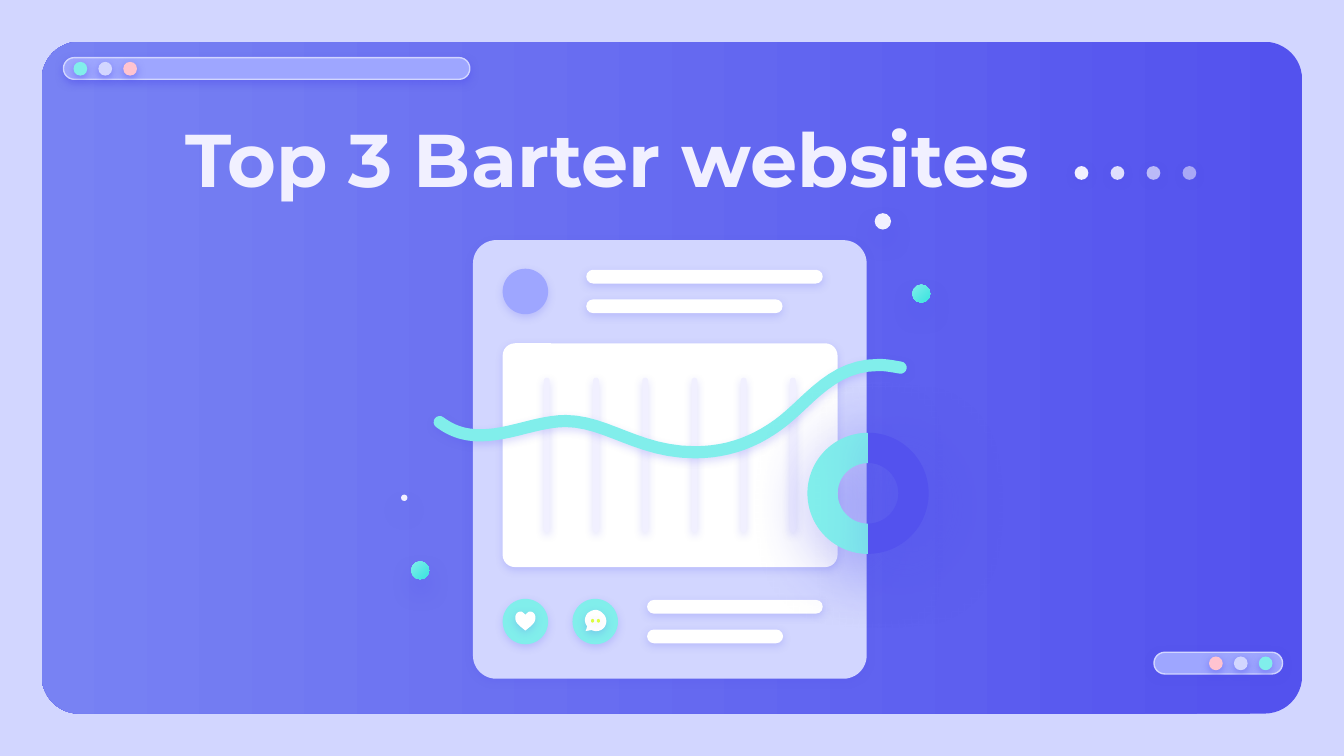
"""Build a title slide for barter websites with a social post card."""
from math import atan2, cos, pi, sin

from lxml import etree
from pptx import Presentation
from pptx.dml.color import RGBColor
from pptx.enum.shapes import MSO_SHAPE
from pptx.enum.text import MSO_ANCHOR, MSO_AUTO_SIZE, PP_ALIGN
from pptx.oxml.ns import qn
from pptx.util import Cm, Pt

ROUND, OVAL, ARC = MSO_SHAPE.ROUNDED_RECTANGLE, MSO_SHAPE.OVAL, MSO_SHAPE.BLOCK_ARC
MIDDLE, LEFT, FIXED = MSO_ANCHOR.MIDDLE, PP_ALIGN.LEFT, MSO_AUTO_SIZE.NONE

HUES = {
    "deep": "5352EE", "blue": "7882F3", "lilac": "9EA6FF", "pale": "D2D6FF",
    "teal": "81EEEB", "green": "3AE4DF", "pink": "FFC3D0", "mist": "F1F0FF",
    "white": "FFFFFF", "lime": "DEFF3F",
}
RGB = {name: RGBColor.from_string(code) for name, code in HUES.items()}

FIRM = (50, 4.5, 1.5, 90)
SOFT = (20, 4.5, 1.5, 90)
HALO = (38, 12.4, 6.8, 90)
WIDE = (67, 38.2, 9, 49)

deck = Presentation()
deck.slide_width, deck.slide_height = Cm(25.4), Cm(14.29)
slide = deck.slides.add_slide(deck.slide_layouts[5])
slide.background.fill.solid()
slide.background.fill.fore_color.rgb = RGB["pale"]


def draw(kind, fill, glow=None, box=None, adj=(), turn=0, angle=0, alpha=100, edge=None):
    """Draw a preset shape in a box, or an outline when kind is a list of points."""
    if box:
        shape = slide.shapes.add_shape(kind, *[Cm(v) for v in box])
    else:
        dots = [(Cm(x), Cm(y)) for x, y in kind]
        pen = slide.shapes.build_freeform(*dots[0], scale=1.0)
        pen.add_line_segments(dots[1:], close=True)
        shape = pen.convert_to_shape()
    for i, value in enumerate(adj):
        shape.adjustments[i] = value
    shape.rotation = turn
    if isinstance(fill, tuple):
        shape.fill.gradient()
        shape.fill.gradient_angle = angle
        for stop, name in zip(shape.fill.gradient_stops, fill):
            stop.color.rgb = RGB[name]
    else:
        shape.fill.solid()
        shape.fill.fore_color.rgb = RGB[fill]
    props = shape.element.spPr
    if alpha < 100:
        tint = props.find(qn("a:solidFill")).find(qn("a:srgbClr"))
        etree.SubElement(tint, qn("a:alpha"), val=str(alpha * 1000))
    if edge:
        shape.line.color.rgb = RGB[edge]
        shape.line.width = Pt(0.75)
    else:
        shape.line.fill.background()
    shape.shadow.inherit = False
    if glow:
        power, blur, gap, way = glow
        cast = etree.SubElement(
            props.find(qn("a:effectLst")), qn("a:outerShdw"), blurRad=str(Pt(blur)),
            dist=str(Pt(gap)), dir=str(way * 60000), algn="bl", rotWithShape="0")
        tint = etree.SubElement(cast, qn("a:srgbClr"), val=HUES["deep"])
        etree.SubElement(tint, qn("a:alpha"), val=str(power * 1000))


def write(frame, text, size, color, font, bold=False, align=LEFT):
    """Write one line of text in the given format."""
    line = frame.paragraphs[0]
    line.alignment = align
    run = line.add_run()
    run.text = text
    run.font.size, run.font.bold, run.font.name = Pt(size), bold, font
    run.font.color.rgb = RGB[color]


draw(ROUND, ("deep", "blue"), box=(0.79, 0.79, 23.82, 12.7), adj=[0.056], angle=180)

for left, top, width, first, step in [(1.2, 1.09, 7.68, 1.39, 0.47),
                                      (21.81, 12.33, 2.43, 23.79, -0.47)]:
    draw(ROUND, "lilac", FIRM, (left, top, width, 0.41), [0.5], edge="pale")
    for i, hue in enumerate(["teal", "pale", "pink"]):
        draw(OVAL, hue, FIRM, (first + i * step, top + 0.08, 0.26, 0.26))

title = slide.shapes.title
title.element.getparent().append(title.element)
title.left, title.top, title.width, title.height = Cm(3.25), Cm(1.17), Cm(18.64), Cm(3.61)
frame = title.text_frame
frame.word_wrap, frame.auto_size, frame.vertical_anchor = True, FIXED, MIDDLE
frame.margin_left = frame.margin_right = frame.margin_top = frame.margin_bottom = Cm(0.25)
write(frame, "Top 3 Barter websites", size=40, color="mist", font="Montserrat", bold=True)

draw(ROUND, "pale", SOFT, (8.94, 4.54, 7.44, 8.29), [0.059])
for left, top, width in [(11.08, 5.1, 4.47), (11.08, 5.66, 3.71),
                         (12.23, 11.34, 3.32), (12.23, 11.9, 2.57)]:
    draw(ROUND, "white", SOFT, (left, top, width, 0.26), [0.5])
for left, top, hue in [(9.5, 5.08, "lilac"), (9.5, 11.32, "teal"), (10.82, 11.32, "teal")]:
    draw(OVAL, hue, SOFT, (left, top, 0.86, 0.86))
draw(ROUND, "white", SOFT, (9.5, 6.49, 6.33, 4.23), [0.055])
for i in range(6):
    draw(ROUND, "mist", SOFT, (10.28 + i * 0.93, 7.14, 0.11, 2.92), [0.5])

half = [(9.93, 11.62), (9.89, 11.58), (9.86, 11.56), (9.85, 11.56), (9.79, 11.56),
        (9.74, 11.6), (9.74, 11.68), (9.74, 11.78), (9.82, 11.83), (9.93, 11.92)]
curves = {
    "heart": half + [(19.86 - x, y) for x, y in half[-2::-1]],
    "bubble": [
        (11.26, 11.53), (11.2, 11.53), (11.15, 11.56), (11.11, 11.59),
        (11.04, 11.67), (11.04, 11.77), (11.1, 11.84),
        (11.1, 11.84), (11.07, 11.93), (11.07, 11.93),
        (11.07, 11.93), (11.18, 11.91), (11.18, 11.91),
        (11.2, 11.92), (11.23, 11.93), (11.26, 11.93),
        (11.31, 11.93), (11.36, 11.92), (11.4, 11.88),
        (11.48, 11.81), (11.48, 11.68), (11.4, 11.6),
        (11.36, 11.56), (11.31, 11.53), (11.26, 11.53)],
    "wave": [
        (8.31, 7.98), (8.51, 8.13), (8.74, 8.23), (9.08, 8.23),
        (9.63, 8.23), (10.16, 7.96), (10.69, 7.96),
        (11.46, 7.96), (12.07, 8.55), (13.13, 8.55),
        (13.79, 8.55), (14.33, 8.33), (14.81, 7.95),
        (15.32, 7.54), (15.75, 6.9), (16.61, 6.9),
        (16.76, 6.9), (16.89, 6.93), (17.02, 6.95)],
}
steps = 12
paths = {}
for name, knots in curves.items():
    paths[name] = [knots[0]]
    for i in range(0, len(knots) - 1, 3):
        for k in range(1, steps + 1):
            t = k / steps
            mix = [(1 - t) ** 3, 3 * t * (1 - t) ** 2, 3 * t * t * (1 - t), t ** 3]
            paths[name].append(tuple(sum(m * p[axis] for m, p in zip(mix, knots[i:i + 4]))
                                     for axis in (0, 1)))

draw(paths["heart"], "white", SOFT)
draw(paths["bubble"], "white", SOFT)
for left in (11.17, 11.28):
    draw(OVAL, "lime", SOFT, (left, 11.7, 0.06, 0.07))

spine = paths["wave"]
last = len(spine) - 1
rays = []
for i, (x, y) in enumerate(spine):
    back, ahead = spine[max(i - 1, 0)], spine[min(i + 1, last)]
    rays.append((x, y, atan2(ahead[1] - back[1], ahead[0] - back[0])))
turns = [pi * k / 8 for k in range(9)]
edge = [(x, y, a - pi / 2) for x, y, a in rays]
edge += [(*spine[-1], rays[-1][2] - pi / 2 + turn) for turn in turns]
edge += [(x, y, a + pi / 2) for x, y, a in rays[::-1]]
edge += [(*spine[0], rays[0][2] + pi / 2 + turn) for turn in turns]
draw([(x + 0.115 * cos(a), y + 0.115 * sin(a)) for x, y, a in edge], "teal", SOFT)

for turn, hue in [(270, "teal"), (90, "deep")]:
    draw(ARC, hue, WIDE, (15.26, 8.18, 2.29, 2.29), [108, 0, 0.25], turn)

for left, top, size, hue in [(17.24, 5.38, 0.34, ("teal", "green")), (16.53, 4.03, 0.31, "mist"),
                             (7.77, 10.61, 0.34, ("teal", "green")), (7.58, 9.35, 0.12, "mist")]:
    draw(OVAL, hue, HALO, (left, top, size, size), turn=90, angle=45)

for i, alpha in enumerate([100, 89, 66, 54]):
    draw(OVAL, "mist", FIRM, (20.31 + i * 0.68, 3.14, 0.26, 0.26), alpha=alpha)

deck.save("out.pptx")
